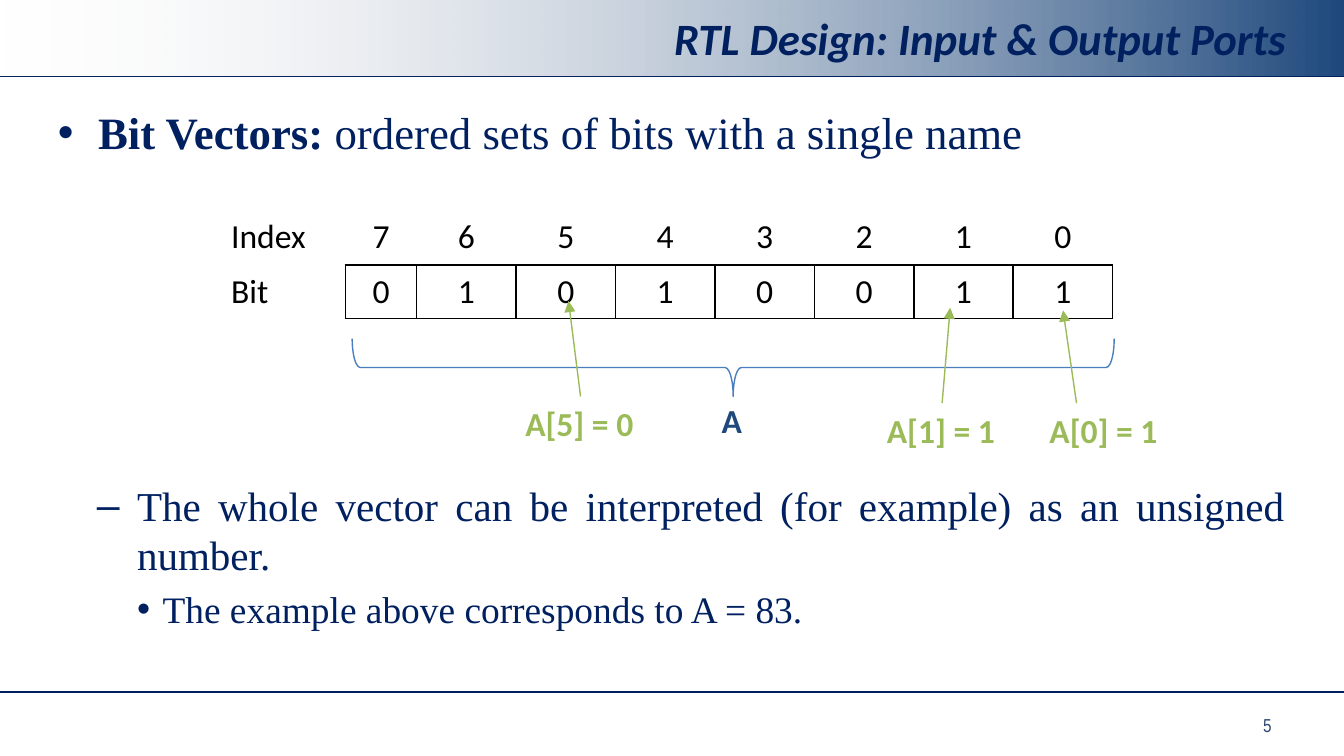
"""Build the slide on bit vectors as RTL input and output ports."""
from lxml.etree import SubElement
from pptx import Presentation
from pptx.dml.color import RGBColor
from pptx.enum.shapes import MSO_CONNECTOR, MSO_SHAPE
from pptx.enum.text import MSO_ANCHOR, MSO_AUTO_SIZE, PP_ALIGN
from pptx.oxml import parse_xml
from pptx.oxml.ns import nsdecls, qn
from pptx.util import Inches, Pt

NAVY = RGBColor(0x00, 0x20, 0x60)
BLUE = RGBColor(0x1F, 0x49, 0x7D)
BRACE_BLUE = RGBColor(0x4B, 0x7E, 0xBC)
NUMBER_BLUE = RGBColor(0x2C, 0x45, 0x6E)
PALE = RGBColor(0xEA, 0xEA, 0xEA)
GREEN = RGBColor(0x9B, 0xBB, 0x59)
BLACK = RGBColor(0, 0, 0)

SLIDE_WIDTH = 10
SLIDE_HEIGHT = SLIDE_WIDTH * 9 / 16

TITLE = "RTL Design: Input & Output Ports"
BULLETS = [
    ([("Bit Vectors: ", True), ("ordered sets of bits with a single name", False)],
     "•", 24, 0.3, 0.3, 0),
    ([("The whole vector can be interpreted (for example) as an unsigned number. ", False)],
     "–", 22, 0.59, 0.3, 172.5),
    ([("The example above corresponds to A = 83.", False)], "•", 20, 0.78, 0.19, 4),
]
BIT_ROWS = [["Index", *"76543210"], ["Bit", *"01010011"]]
COLUMN_WIDTHS = [0.95, 0.53] + [0.74] * 7
ROW_HEIGHTS = [0.41, 0.4]
LABELS = [
    ("A", 5.27, 2.93, 0.35, BLUE),
    ("A[0] = 1", 7.71, 3, 1.02, GREEN),
    ("A[1] = 1", 6.5, 3, 1.02, GREEN),
    ("A[5] = 0", 3.81, 2.95, 1.02, GREEN),
]
POINTERS = [
    (4.32, 2.95, 4.23, 2.24),
    (7.01, 3, 7.07, 2.29),
    (8.01, 3, 7.91, 2.31),
]
RULE_HEIGHTS = [0.57, 5.15]


def place(shape, left, top, width, height):
    shape.left, shape.top = Inches(left), Inches(top)
    shape.width, shape.height = Inches(width), Inches(height)


def set_font(paragraph, name, size, color, bold=None):
    font = paragraph.font
    font.name, font.size, font.bold = name, Pt(size), bold
    font.color.rgb = color


def add_line(slide, x1, y1, x2, y2, color, arrow=False):
    line = slide.shapes.add_connector(
        MSO_CONNECTOR.STRAIGHT, Inches(x1), Inches(y1), Inches(x2), Inches(y2))
    line.line.color.rgb = color
    line.line.width = Pt(0.75)
    if arrow:
        SubElement(line.line._get_or_add_ln(), qn("a:tailEnd"), type="triangle")
    SubElement(line._element.spPr, qn("a:effectLst"))


def add_label(slide, text, left, top, width, height, name, size, color, bold=None):
    label = slide.shapes.add_textbox(
        Inches(left), Inches(top), Inches(width), Inches(height))
    label.text_frame.text = text
    label.text_frame.word_wrap = False
    set_font(label.text_frame.paragraphs[0], name, size, color, bold)


def add_band(slide):
    band = slide.shapes.add_shape(
        MSO_SHAPE.RECTANGLE, 0, 0, Inches(SLIDE_WIDTH), Inches(0.57))
    band.shadow.inherit = False
    band.line.fill.background()
    band.fill.gradient()
    band.fill.gradient_angle = 0
    start, end = band.fill.gradient_stops
    start.color.rgb, end.color.rgb = PALE, BLUE
    clear = next(band._element.iter(qn("a:srgbClr")))
    SubElement(clear, qn("a:alpha"), val="0")
    slide.shapes._spTree.insert(2, band._element)


def fill_title(title):
    place(title, 0.5, 0.03, 9.17, 0.5)
    title.text_frame.text = TITLE
    title.text_frame.vertical_anchor = MSO_ANCHOR.MIDDLE
    title.text_frame.auto_size = MSO_AUTO_SIZE.NONE
    heading = title.text_frame.paragraphs[0]
    heading.alignment = PP_ALIGN.RIGHT
    set_font(heading, "Calibri", 24, NAVY, True)
    heading.font.italic = True


def fill_body(body):
    place(body, 0.33, 0.73, 9.33, 4.3)
    frame = body.text_frame
    frame.auto_size = MSO_AUTO_SIZE.NONE
    for level, (runs, bullet, size, margin, hang, gap) in enumerate(BULLETS):
        item = frame.add_paragraph() if level else frame.paragraphs[0]
        item.level = level
        item.alignment = PP_ALIGN.JUSTIFY
        item.space_before = Pt(gap)
        props = item._p.get_or_add_pPr()
        props.set("marL", str(Inches(margin)))
        props.set("indent", str(-Inches(hang)))
        SubElement(props, qn("a:buChar"), char=bullet)
        set_font(item, "Times New Roman", size, NAVY)
        for text, bold in runs:
            run = item.add_run()
            run.text = text
            run.font.bold = bold


def add_borders(cell, sides):
    for position, side in enumerate(sides):
        cell._tc.get_or_add_tcPr().insert(position, parse_xml(
            f'<a:ln{side} {nsdecls("a")} w="12700"><a:solidFill>'
            f'<a:srgbClr val="{BLACK}"/></a:solidFill></a:ln{side}>'))


def add_bit_table(slide):
    table = slide.shapes.add_table(
        len(BIT_ROWS), len(COLUMN_WIDTHS), Inches(1.62), Inches(1.56),
        Inches(sum(COLUMN_WIDTHS)), Inches(sum(ROW_HEIGHTS))).table
    table.first_row = table.horz_banding = False
    for column, width in zip(table.columns, COLUMN_WIDTHS):
        column.width = Inches(width)
    for r, values in enumerate(BIT_ROWS):
        table.rows[r].height = Inches(ROW_HEIGHTS[r])
        for c, value in enumerate(values):
            cell = table.cell(r, c)
            cell.text = value
            cell.fill.background()
            entry = cell.text_frame.paragraphs[0]
            entry.alignment = PP_ALIGN.CENTER if c else PP_ALIGN.LEFT
            set_font(entry, "Calibri", 18, BLACK, False)
            if r:
                add_borders(cell, "LRTB" if c else "R")
            elif c:
                add_borders(cell, "B")


def add_brace(slide):
    brace = slide.shapes.add_shape(
        MSO_SHAPE.RIGHT_BRACE, Inches(5.24), Inches(-0.1), Inches(0.43), Inches(5.67))
    brace.rotation = 90
    brace.adjustments[0], brace.adjustments[1] = 0.14, 0.5
    brace.shadow.inherit = False
    brace.fill.background()
    brace.line.color.rgb = BRACE_BLUE
    brace.line.width = Pt(0.75)


def main():
    deck = Presentation()
    deck.slide_width, deck.slide_height = Inches(SLIDE_WIDTH), Inches(SLIDE_HEIGHT)
    slide = deck.slides.add_slide(deck.slide_layouts[1])
    add_band(slide)
    for height in RULE_HEIGHTS:
        add_line(slide, SLIDE_WIDTH, height, 0, height, NAVY)
    add_label(slide, "5", 9.3, 5.26, 0.55, 0.27, "Arial Narrow", 10, NUMBER_BLUE)
    fill_title(slide.shapes.title)
    fill_body(slide.placeholders[1])
    add_bit_table(slide)
    add_brace(slide)
    for text, left, top, width, color in LABELS:
        add_label(slide, text, left, top, width, 0.4, "Calibri", 18, color, True)
    for ends in POINTERS:
        add_line(slide, *ends, GREEN, arrow=True)
    deck.save("out.pptx")


if __name__ == "__main__":
    main()
